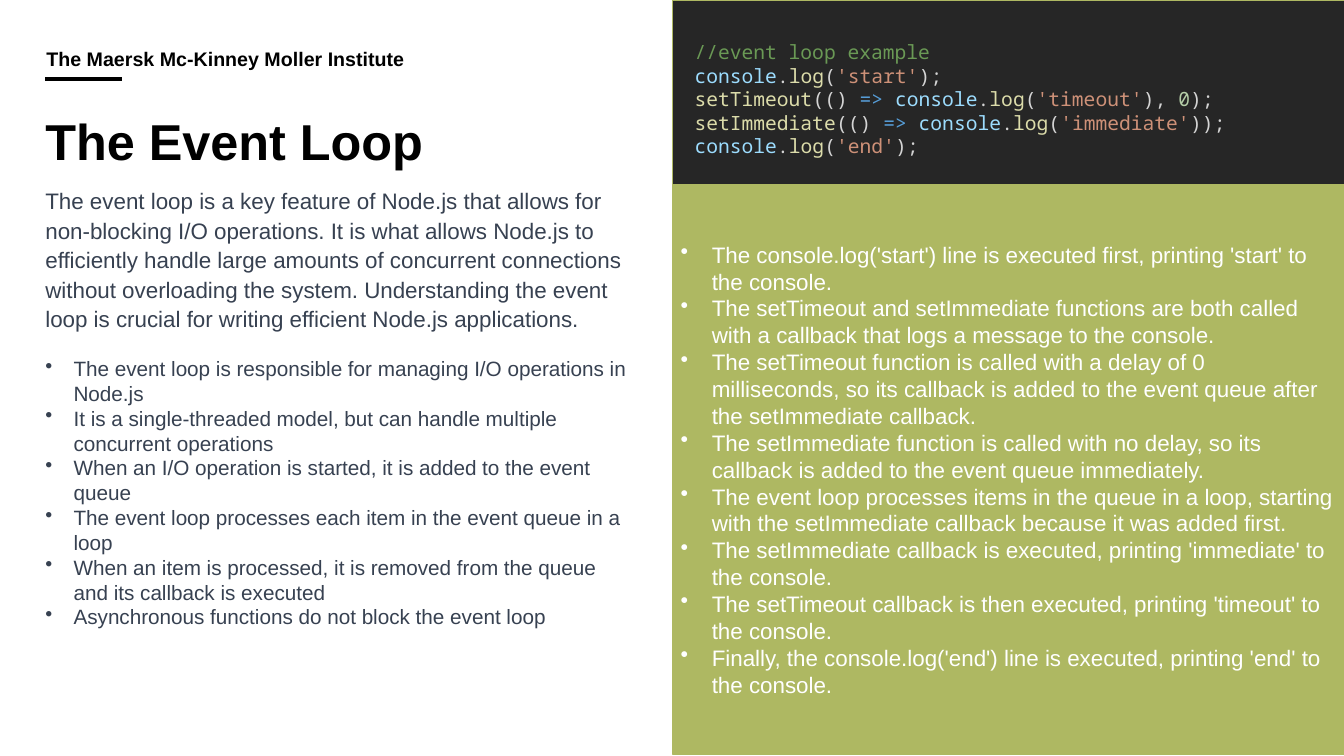
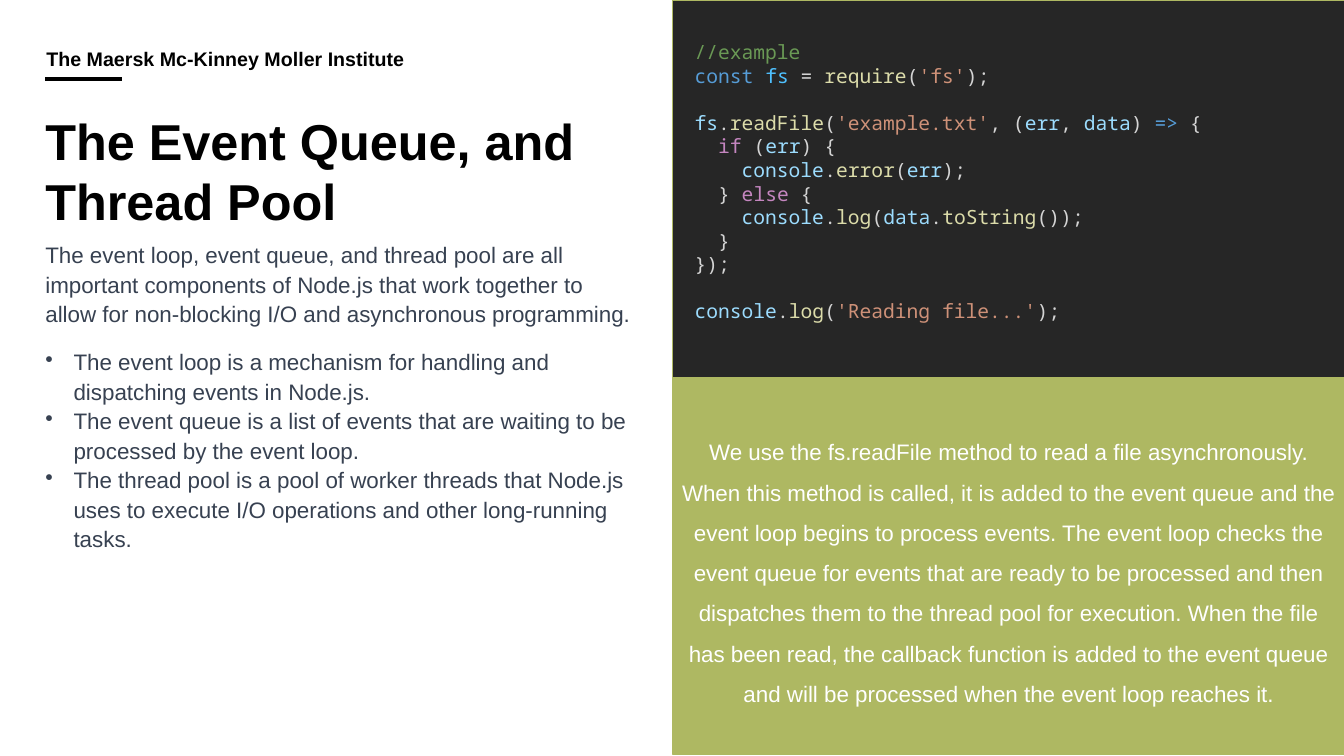
"""Build two lecture slides about the Node.js event loop and event queue."""
from dataclasses import dataclass

from lxml.etree import SubElement
from pptx import Presentation
from pptx.dml.color import RGBColor
from pptx.enum.shapes import MSO_CONNECTOR, MSO_SHAPE
from pptx.enum.text import MSO_ANCHOR, PP_ALIGN
from pptx.oxml.ns import qn
from pptx.util import Emu, Pt


@dataclass(frozen=True)
class Theme:
    sans: str = "Arial"
    mono: str = "Noto Sans Mono"
    black: str = "000000"
    slate: str = "374151"
    white: str = "FFFFFF"
    green: str = "AEB862"
    dark: str = "262626"
    title: float = 36
    body: float = 16
    small: float = 14
    code_line: float = 16.8


THEME = Theme()
PX = 9144
SLIDE_WIDTH, SLIDE_HEIGHT = 1333, 750
MARGIN = 45
TEXT_WIDTH = 584
PANEL_LEFT, PANEL_WIDTH, PANEL_BOTTOM = 667, 667, 748
CODE_INSETS = (10, 5, 10, 5)
INSTITUTE = "The Maersk Mc-Kinney Moller Institute"

SYNTAX = {
    "comment": "6A9955",
    "variable": "9CDCFE",
    "constant": "4FC1FF",
    "function": "DCDCAA",
    "string": "CE9178",
    "number": "B5CEA8",
    "keyword": "569CD6",
    "control": "C586C0",
    "plain": "D4D4D4",
}


def method(owner, name, indent=""):
    return [("variable", indent + owner), ("plain", "."), ("function", name)]


def log_string(text, closing=");"):
    return method("console", "log") + [
        ("plain", "("), ("string", text), ("plain", closing)]


def callback(name):
    return [("function", name), ("plain", "(() "), ("keyword", "=> ")]


LOOP_CODE = [
    [("comment", "//event loop example")],
    log_string("'start'"),
    callback("setTimeout") + log_string("'timeout'", "), ")
    + [("number", "0"), ("plain", ");")],
    callback("setImmediate") + log_string("'immediate'", "));"),
    log_string("'end'"),
]

QUEUE_CODE = [
    [("comment", "//example")],
    [("keyword", "const "), ("constant", "fs"), ("plain", " = "),
     ("function", "require"), ("plain", "("), ("string", "'fs'"), ("plain", ");")],
    [],
    method("fs", "readFile")
    + [("plain", "("), ("string", "'example.txt'"), ("plain", ", ("),
       ("variable", "err"), ("plain", ", "), ("variable", "data"),
       ("plain", ") "), ("keyword", "=>"), ("plain", " {")],
    [("control", "  if"), ("plain", " ("), ("variable", "err"), ("plain", ") {")],
    method("console", "error", "    ")
    + [("plain", "("), ("variable", "err"), ("plain", ");")],
    [("plain", "  } "), ("control", "else"), ("plain", " {")],
    method("console", "log", "    ") + [("plain", "(")]
    + method("data", "toString") + [("plain", "());")],
    [("plain", "  }")],
    [("plain", "});")],
    [],
    log_string("'Reading file...'"),
]

SLIDES = [
    {
        "title": "The Event Loop",
        "intro": "The event loop is a key feature of Node.js that allows for non-blocking I/O operations. It is what allows Node.js to efficiently handle large amounts of concurrent connections without overloading the system. Understanding the event loop is crucial for writing efficient Node.js applications.",
        "intro_top": 183,
        "intro_height": 168,
        "points": [
            "The event loop is responsible for managing I/O operations in Node.js",
            "It is a single-threaded model, but can handle multiple concurrent operations",
            "When an I/O operation is started, it is added to the event queue",
            "The event loop processes each item in the event queue in a loop",
            "When an item is processed, it is removed from the queue and its callback is executed",
            "Asynchronous functions do not block the event loop",
        ],
        "points_top": 353,
        "points_style": {"size": 14.8},
        "code": LOOP_CODE,
        "code_bottom": 183,
        "notes": [
            "The console.log('start') line is executed first, printing 'start' to the console.",
            "The setTimeout and setImmediate functions are both called with a callback that logs a message to the console.",
            "The setTimeout function is called with a delay of 0 milliseconds, so its callback is added to the event queue after the setImmediate callback.",
            "The setImmediate function is called with no delay, so its callback is added to the event queue immediately.",
            "The event loop processes items in the queue in a loop, starting with the setImmediate callback because it was added first.",
            "The setImmediate callback is executed, printing 'immediate' to the console.",
            "The setTimeout callback is then executed, printing 'timeout' to the console.",
            "Finally, the console.log('end') line is executed, printing 'end' to the console.",
        ],
        "notes_style": {"bullet_indent": 31},
    },
    {
        "title": "The Event Queue, and Thread Pool",
        "intro": "The event loop, event queue, and thread pool are all important components of Node.js that work together to allow for non-blocking I/O and asynchronous programming.",
        "intro_top": 237,
        "intro_height": 106,
        "points": [
            "The event loop is a mechanism for handling and dispatching events in Node.js.",
            "The event queue is a list of events that are waiting to be processed by the event loop.",
            "The thread pool is a pool of worker threads that Node.js uses to execute I/O operations and other long-running tasks.",
        ],
        "points_top": 343,
        "points_style": {"line_spacing": 1.1},
        "code": QUEUE_CODE,
        "code_bottom": 375,
        "notes": [
            "We use the fs.readFile method to read a file asynchronously. When this method is called, it is added to the event queue and the event loop begins to process events. The event loop checks the event queue for events that are ready to be processed and then dispatches them to the thread pool for execution. When the file has been read, the callback function is added to the event queue and will be processed when the event loop reaches it.",
        ],
        "notes_style": {"align": PP_ALIGN.CENTER, "line_spacing": 1.5},
    },
]


def px(*lengths):
    return [Emu(length * PX) for length in lengths]


def color(value):
    return RGBColor.from_string(value)


def prepare_frame(shape, insets=(0, 0, 0, 0), anchor=MSO_ANCHOR.TOP):
    frame = shape.text_frame
    frame.word_wrap = True
    frame.vertical_anchor = anchor
    (frame.margin_left, frame.margin_top,
     frame.margin_right, frame.margin_bottom) = px(*insets)
    return frame


def add_bullet(paragraph, indent):
    properties = paragraph._p.get_or_add_pPr()
    properties.set("marL", str(indent * PX))
    properties.set("indent", str(-indent * PX))
    SubElement(properties, qn("a:buChar")).set("char", "•")


def write(frame, texts, size=THEME.body, ink=THEME.slate, bold=False,
          line_spacing=1.0, align=PP_ALIGN.LEFT, bullet_indent=0):
    for index, text in enumerate(texts):
        paragraph = frame.paragraphs[0] if index == 0 else frame.add_paragraph()
        paragraph.text = text
        paragraph.alignment = align
        paragraph.line_spacing = line_spacing
        if bullet_indent:
            add_bullet(paragraph, bullet_indent)
        font = paragraph.font
        font.name, font.size, font.bold = THEME.sans, Pt(size), bold
        font.color.rgb = color(ink)


def add_text(slide, box, texts, insets=(0, 0, 0, 0), anchor=MSO_ANCHOR.TOP, **style):
    frame = prepare_frame(slide.shapes.add_textbox(*px(*box)), insets, anchor)
    write(frame, texts, **style)


def add_panel(slide, top, bottom, fill):
    panel = slide.shapes.add_shape(
        MSO_SHAPE.RECTANGLE, *px(PANEL_LEFT, top, PANEL_WIDTH, bottom - top))
    panel.shadow.inherit = False
    panel.fill.solid()
    panel.fill.fore_color.rgb = color(fill)
    panel.line.color.rgb = color(THEME.green)
    panel.line.width = Pt(1)
    return panel


def add_code(slide, lines, bottom):
    top = 35
    box = slide.shapes.add_textbox(*px(679, top, 635, bottom - top))
    frame = prepare_frame(box, CODE_INSETS)
    paragraph, gap = frame.paragraphs[0], False
    for index, tokens in enumerate(lines):
        if not tokens:
            gap = True
            continue
        if index:
            paragraph = frame.add_paragraph()
        if gap:
            paragraph.space_before = Pt(THEME.code_line)
            gap = False
        paragraph.font.name, paragraph.font.size = THEME.mono, Pt(THEME.small)
        for kind, text in tokens:
            run = paragraph.add_run()
            run.text = text
            run.font.color.rgb = color(SYNTAX[kind])


def add_header(slide):
    rule = slide.shapes.add_connector(
        MSO_CONNECTOR.STRAIGHT, *px(MARGIN, 78, 121, 78))
    rule.line.color.rgb = color(THEME.black)
    rule.line.width = Pt(3)
    SubElement(rule._element.spPr, qn("a:effectLst"))
    add_text(slide, (MARGIN, 49, 622, 31), [INSTITUTE], (1, 0, 0, 10),
             MSO_ANCHOR.BOTTOM, size=THEME.small, ink=THEME.black, bold=True,
             line_spacing=0.9)


def build_slide(presentation, content):
    slide = presentation.slides.add_slide(presentation.slide_layouts[6])
    add_header(slide)
    add_text(slide, (MARGIN, 109, 600, 129), [content["title"]],
             size=THEME.title, ink=THEME.black, bold=True)
    add_text(slide, (MARGIN, content["intro_top"], TEXT_WIDTH, content["intro_height"]),
             [content["intro"]], line_spacing=1.1)
    add_text(slide, (MARGIN, content["points_top"], TEXT_WIDTH, 288),
             content["points"], bullet_indent=28, **content["points_style"])
    add_panel(slide, 0, content["code_bottom"], THEME.dark)
    add_code(slide, content["code"], content["code_bottom"])
    notes = add_panel(slide, content["code_bottom"], PANEL_BOTTOM, THEME.green)
    write(prepare_frame(notes, (8, 8, 8, 8), MSO_ANCHOR.MIDDLE),
          content["notes"], ink=THEME.white, **content["notes_style"])


def main():
    presentation = Presentation()
    presentation.slide_width, presentation.slide_height = px(SLIDE_WIDTH, SLIDE_HEIGHT)
    for content in SLIDES:
        build_slide(presentation, content)
    presentation.save("out.pptx")


if __name__ == "__main__":
    main()
